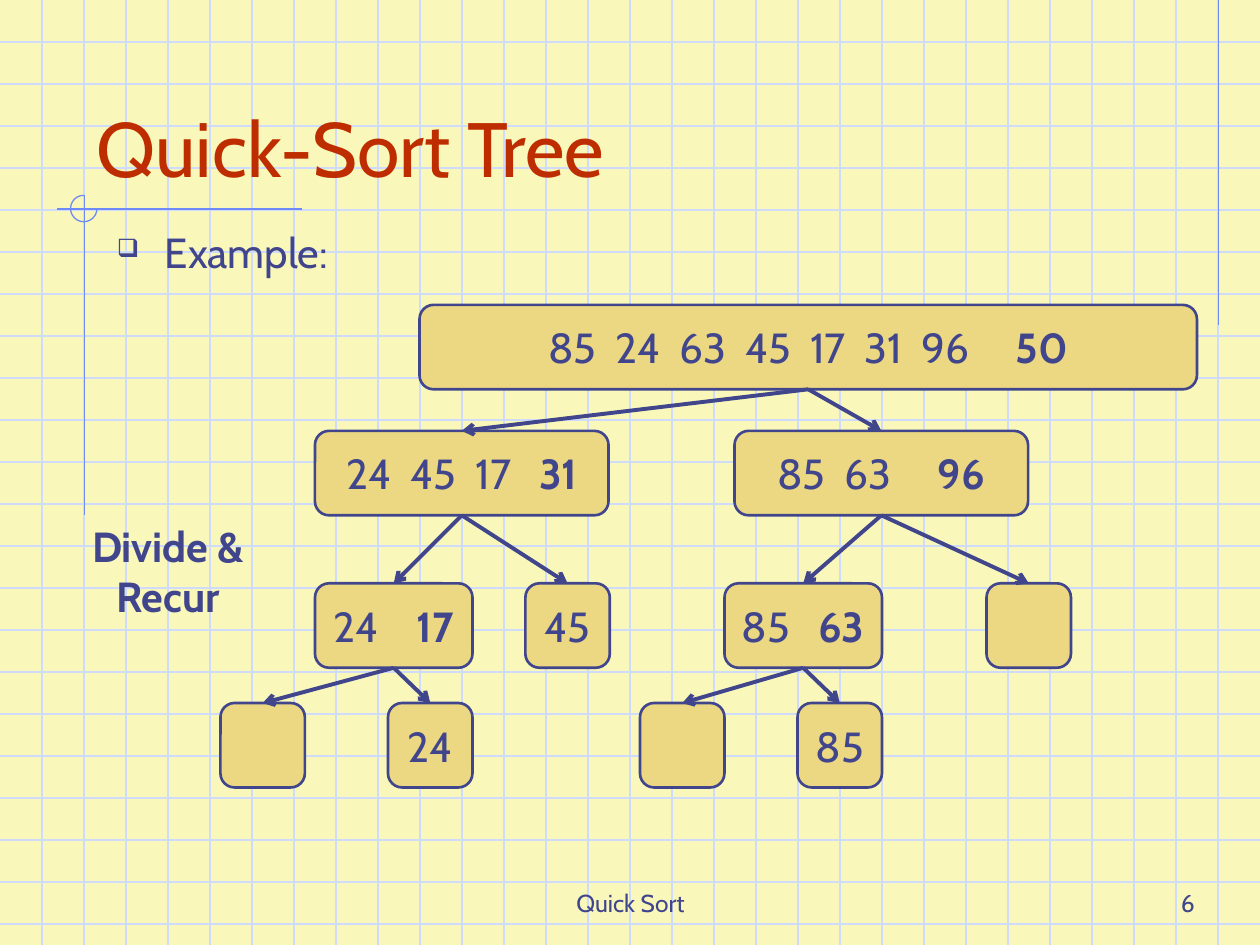
"""Build the quick-sort tree slide."""
import dataclasses
import typing

import lxml.etree
import pptx
import pptx.dml.color
import pptx.enum.shapes
import pptx.enum.text
import pptx.oxml.ns
import pptx.shapes.autoshape
import pptx.shapes.connector
import pptx.slide
import pptx.text.text
import pptx.util

Inches = pptx.util.Inches
ALIGN = pptx.enum.text.PP_ALIGN
ANCHOR = pptx.enum.text.MSO_ANCHOR
SHAPE = pptx.enum.shapes.MSO_SHAPE
COLORS = {
    "paper": "F9F8BA",
    "grid": "CFDBFD",
    "rule": "6F89F7",
    "title": "BE2D00",
    "ink": "40458C",
    "node": "ECD882",
}
FONT = "Cabin"
SPACE_POINTS = 5.3
PAGE_WIDTH, PAGE_HEIGHT = 10, 7.5
GRID_STEP = 1 / 3
ROW_TOPS = (2.42, 3.42, 4.63, 5.58)
NODE_HEIGHT = 0.67


@dataclasses.dataclass(frozen=True)
class Node:
    """A call in the recursion, with its values, pivot and sub-calls."""
    left: float
    width: float = NODE_HEIGHT
    values: tuple[str, ...] = ()
    pivot: str = ""
    pivot_gap: int = 2
    children: tuple["Node", ...] = ()


TREE = Node(3.33, 6.17, ("85", "24", "63", "45", "17", "31", "96"), "50", 5, (
    Node(2.5, 2.33, ("24", "45", "17"), "31", 3, (
        Node(2.5, 1.25, ("24",), "17", 4, (
            Node(1.75),
            Node(3.08, values=("24",)),
        )),
        Node(4.17, values=("45",)),
    )),
    Node(5.83, 2.33, ("85", "63"), "96", 5, (
        Node(5.75, 1.25, ("85",), "63", 3, (
            Node(5.08),
            Node(6.33, values=("85",)),
        )),
        Node(7.83),
    )),
))


def rgb(name: str) -> pptx.dml.color.RGBColor:
    """Return a named colour."""
    return pptx.dml.color.RGBColor.from_string(COLORS[name])


def add_child(parent: typing.Any, tag: str, **attributes: str) -> typing.Any:
    """Append a drawing element to an XML parent."""
    return lxml.etree.SubElement(parent, pptx.oxml.ns.qn(tag), attributes)


def add_span(frame: pptx.text.text.TextFrame, text: str, *, size: float = 24,
             color: str = "ink", bold: bool = False, tracking: float = 0) -> None:
    """Append formatted text to the first paragraph of a frame."""
    span = frame.paragraphs[0].add_run()
    span.text = text
    span.font.name = FONT
    span.font.size = pptx.util.Pt(size)
    span.font.bold = bold
    span.font.color.rgb = rgb(color)
    if tracking:
        span.font._element.set("spc", str(round(tracking * 100)))


def add_gap(frame: pptx.text.text.TextFrame, spaces: int) -> None:
    """Append one space widened to the given number of spaces."""
    add_span(frame, " ", tracking=(spaces - 1) * SPACE_POINTS)


def add_label(page: pptx.slide.Slide, text: str, left: float, top: float, width: float,
              height: float, *, align: ALIGN = ALIGN.LEFT, anchor: ANCHOR = ANCHOR.TOP,
              **format_options: typing.Any) -> pptx.text.text.TextFrame:
    """Add a wrapping text box and return its frame."""
    box = page.shapes.add_textbox(Inches(left), Inches(top), Inches(width), Inches(height))
    frame = box.text_frame
    frame.word_wrap = True
    frame.vertical_anchor = anchor
    frame.paragraphs[0].alignment = align
    add_span(frame, text, **format_options)
    return frame


def add_bullet(frame: pptx.text.text.TextFrame) -> None:
    """Give the first paragraph a small square bullet."""
    para = frame.paragraphs[0]
    para.space_before = pptx.util.Pt(6)
    properties = para._p.get_or_add_pPr()
    indent = Inches(0.38)
    properties.set("marL", str(indent))
    properties.set("indent", str(-indent))
    add_child(add_child(properties, "a:buClr"), "a:srgbClr", val=COLORS["ink"])
    add_child(properties, "a:buSzPct", val="60000")
    add_child(properties, "a:buChar", char="❑")


def add_line(page: pptx.slide.Slide, start: tuple[float, float], end: tuple[float, float],
             color: str, weight: float = 0.75) -> pptx.shapes.connector.Connector:
    """Add a straight line without a shadow."""
    line = page.shapes.add_connector(
        pptx.enum.shapes.MSO_CONNECTOR.STRAIGHT, *map(Inches, (*start, *end)))
    line.line.color.rgb = rgb(color)
    line.line.width = pptx.util.Pt(weight)
    add_child(line._element.spPr, "a:effectLst")
    return line


def add_arrow(page: pptx.slide.Slide, parent: pptx.shapes.autoshape.Shape,
              child: pptx.shapes.autoshape.Shape) -> None:
    """Join a parent's bottom to a child's top with an arrow."""
    arrow = add_line(page, (0, 0), (0, 0), "ink", 2.25)
    arrow.begin_connect(parent, 2)
    arrow.end_connect(child, 0)
    add_child(arrow.line._get_or_add_ln(), "a:tailEnd", type="arrow")


def draw_node(page: pptx.slide.Slide, node: Node, depth: int = 0) -> pptx.shapes.autoshape.Shape:
    """Draw a node with its subtree and return its box."""
    box = page.shapes.add_shape(
        SHAPE.ROUNDED_RECTANGLE, Inches(node.left), Inches(ROW_TOPS[depth]),
        Inches(node.width), Inches(NODE_HEIGHT))
    box.shadow.inherit = False
    box.fill.solid()
    box.fill.fore_color.rgb = rgb("node")
    box.line.color.rgb = rgb("ink")
    box.line.width = pptx.util.Pt(1.5)
    frame = box.text_frame
    frame.word_wrap = False
    frame.vertical_anchor = ANCHOR.MIDDLE
    frame.paragraphs[0].alignment = ALIGN.CENTER
    for index, value in enumerate(node.values):
        if index:
            add_gap(frame, 2)
        add_span(frame, value)
    if node.pivot:
        add_gap(frame, node.pivot_gap)
        add_span(frame, node.pivot, bold=True)
    for child in node.children:
        add_arrow(page, box, draw_node(page, child, depth + 1))
    return box


def draw_background(page: pptx.slide.Slide) -> None:
    """Draw the squared paper and its margin rules."""
    page.background.fill.solid()
    page.background.fill.fore_color.rgb = rgb("paper")
    for row in range(1, 23):
        add_line(page, (0, row * GRID_STEP), (PAGE_WIDTH, row * GRID_STEP), "grid")
    for column in range(1, 30):
        add_line(page, (column * GRID_STEP, 0), (column * GRID_STEP, PAGE_HEIGHT), "grid")
    add_line(page, (9.67, 0), (9.67, 2.58), "rule")
    add_line(page, (2.4, 1.66), (0.45, 1.66), "rule")
    add_line(page, (0.67, 1.55), (0.67, 4.09), "rule")
    arc = page.shapes.add_shape(SHAPE.ARC, Inches(0.56), Inches(1.55), Inches(0.21), Inches(0.21))
    arc.adjustments[0] = 0
    arc.adjustments[1] = 162
    arc.shadow.inherit = False
    arc.fill.background()
    arc.line.color.rgb = rgb("rule")
    arc.line.width = pptx.util.Pt(0.75)


def main() -> None:
    """Build and save the deck."""
    deck = pptx.Presentation()
    deck.slide_width, deck.slide_height = Inches(PAGE_WIDTH), Inches(PAGE_HEIGHT)
    page = deck.slides.add_slide(deck.slide_layouts[6])
    draw_background(page)
    add_label(page, "Quick Sort", 3.42, 6.83, 3.17, 0.5,
              align=ALIGN.CENTER, anchor=ANCHOR.BOTTOM, size=14)
    add_label(page, "6", 7.5, 6.83, 2.08, 0.5,
              align=ALIGN.RIGHT, anchor=ANCHOR.BOTTOM, size=14)
    add_label(page, "Quick-Sort Tree", 0.67, 0.33, 8.5, 1.25,
              anchor=ANCHOR.BOTTOM, size=44, color="title")
    add_bullet(add_label(page, "Example:", 0.83, 1.75, 2.25, 0.75))
    add_label(page, "Divide & Recur", 0.42, 4.08, 1.83, 0.9, align=ALIGN.CENTER, bold=True)
    draw_node(page, TREE)
    deck.save("out.pptx")


if __name__ == "__main__":
    main()
